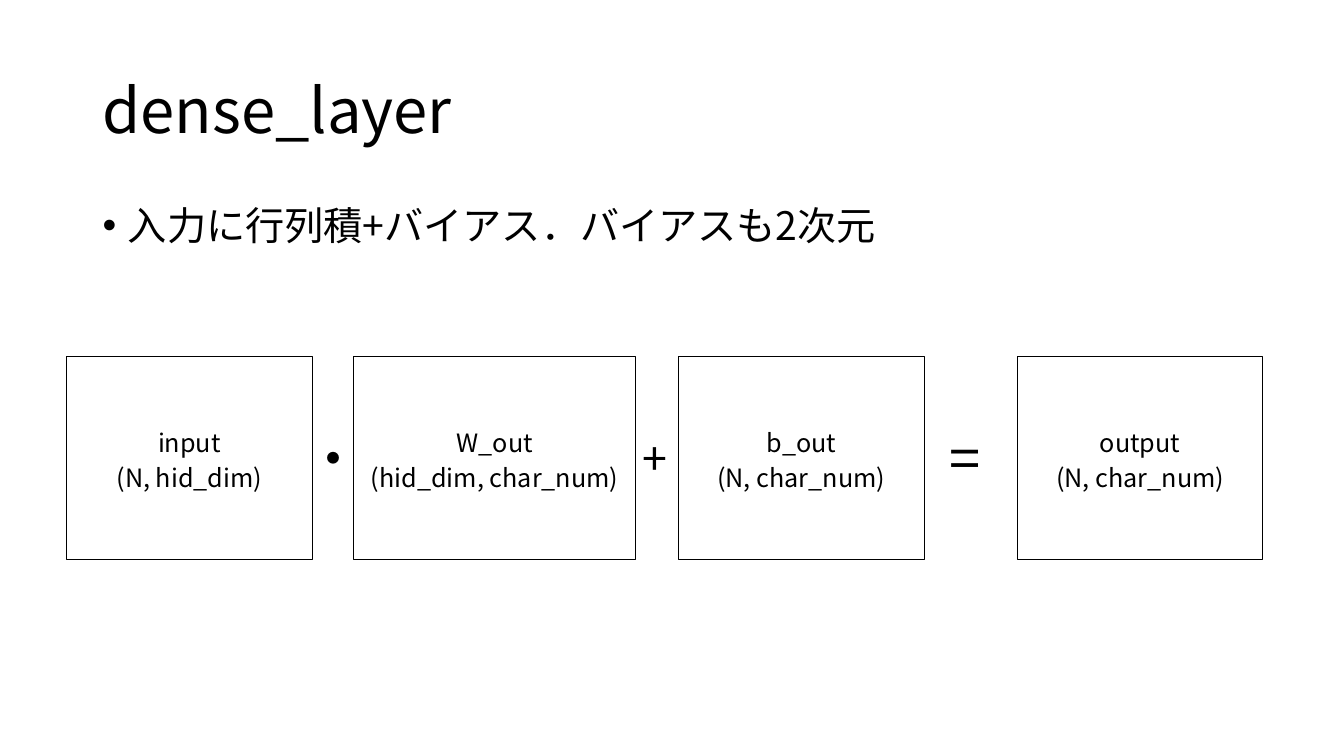
from lxml.etree import SubElement
from pptx import Presentation
from pptx.dml.color import RGBColor
from pptx.enum.shapes import MSO_SHAPE as Shape
from pptx.enum.text import MSO_ANCHOR as Anchor, MSO_AUTO_SIZE as AutoSize, PP_ALIGN as Align
from pptx.oxml.ns import qn
from pptx.util import Cm, Pt

FONT = "Noto Sans CJK JP"


def color(value):
    return RGBColor.from_string(value)


def add_span(para, text, size):
    span = para.add_run()
    span.text = text
    span.font.size = Pt(size)
    span.font.name = FONT
    span.font.color.rgb = color("000000")
    SubElement(span._r.get_or_add_rPr(), qn("a:ea"), typeface=FONT)


deck = Presentation()
deck.slide_width, deck.slide_height = Cm(33.87), Cm(19.05)
page = deck.slides.add_slide(deck.slide_layouts[1])

title, body = page.placeholders
for holder, top, height, text, size, anchor in [
    (title, 1.01, 3.68, "dense_layer", 44, Anchor.MIDDLE),
    (body, 5.07, 12.09, "入力に行列積+バイアス．バイアスも2次元", 28, Anchor.TOP),
]:
    holder.left, holder.top = Cm(2.33), Cm(top)
    holder.width, holder.height = Cm(29.21), Cm(height)
    holder.text_frame.vertical_anchor = anchor
    para = holder.text_frame.paragraphs[0]
    para.alignment = Align.LEFT
    para.line_spacing = 0.9
    para.space_before = Pt(0)
    add_span(para, text, size)

bullet = body.text_frame.paragraphs[0]._p.get_or_add_pPr()
bullet.set("marL", str(Cm(0.64)))
bullet.set("indent", str(Cm(-0.64)))
SubElement(bullet, qn("a:buFont"), typeface="Arial")
SubElement(bullet, qn("a:buChar"), char="•")

for left, width, name, dimensions in [
    (1.68, 6.19, "input", "(N, hid_dim)"),
    (8.92, 7.1, "W_out", "(hid_dim, char_num)"),
    (17.1, 6.19, "b_out", "(N, char_num)"),
    (25.64, 6.19, "output", "(N, char_num)"),
]:
    matrix = page.shapes.add_shape(Shape.RECTANGLE, Cm(left), Cm(8.98), Cm(width), Cm(5.11))
    matrix.shadow.inherit = False
    matrix.fill.background()
    matrix.line.color.rgb = color("000000")
    matrix.line.width = Pt(0.75)
    frame = matrix.text_frame
    frame.vertical_anchor = Anchor.MIDDLE
    for para, text in [(frame.paragraphs[0], name), (frame.add_paragraph(), dimensions)]:
        para.alignment = Align.CENTER
        para.line_spacing = Pt(25)
        add_span(para, text, 18)

for left, width, height, symbol, size in [
    (7.45, 1.93, 1.97, "・", 40),
    (15.93, 1.35, 1.62, "+", 32),
    (23.67, 1.55, 1.97, "=", 40),
]:
    box = page.shapes.add_textbox(Cm(left), Cm(11.53 - height / 2), Cm(width), Cm(height))
    frame = box.text_frame
    frame.word_wrap = False
    frame.auto_size = AutoSize.SHAPE_TO_FIT_TEXT
    frame.vertical_anchor = Anchor.MIDDLE
    add_span(frame.paragraphs[0], symbol, size)

deck.save("out.pptx")
